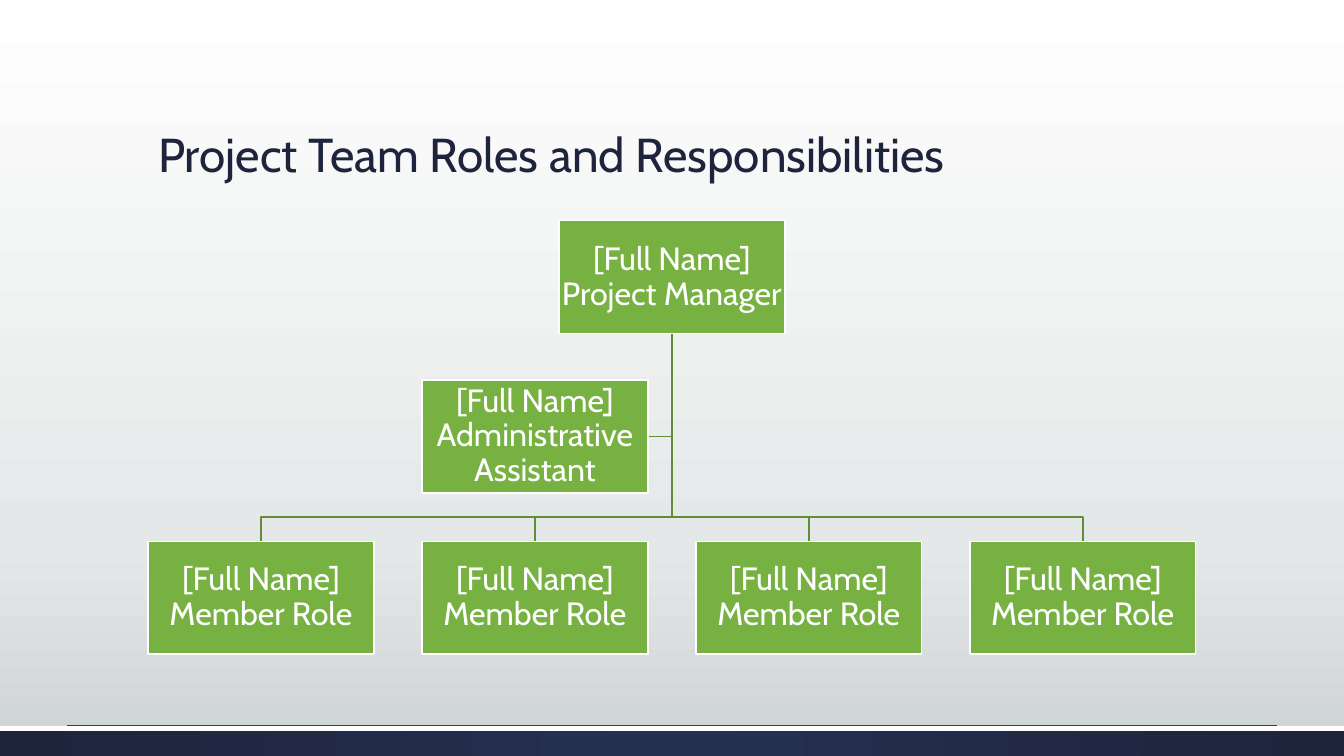
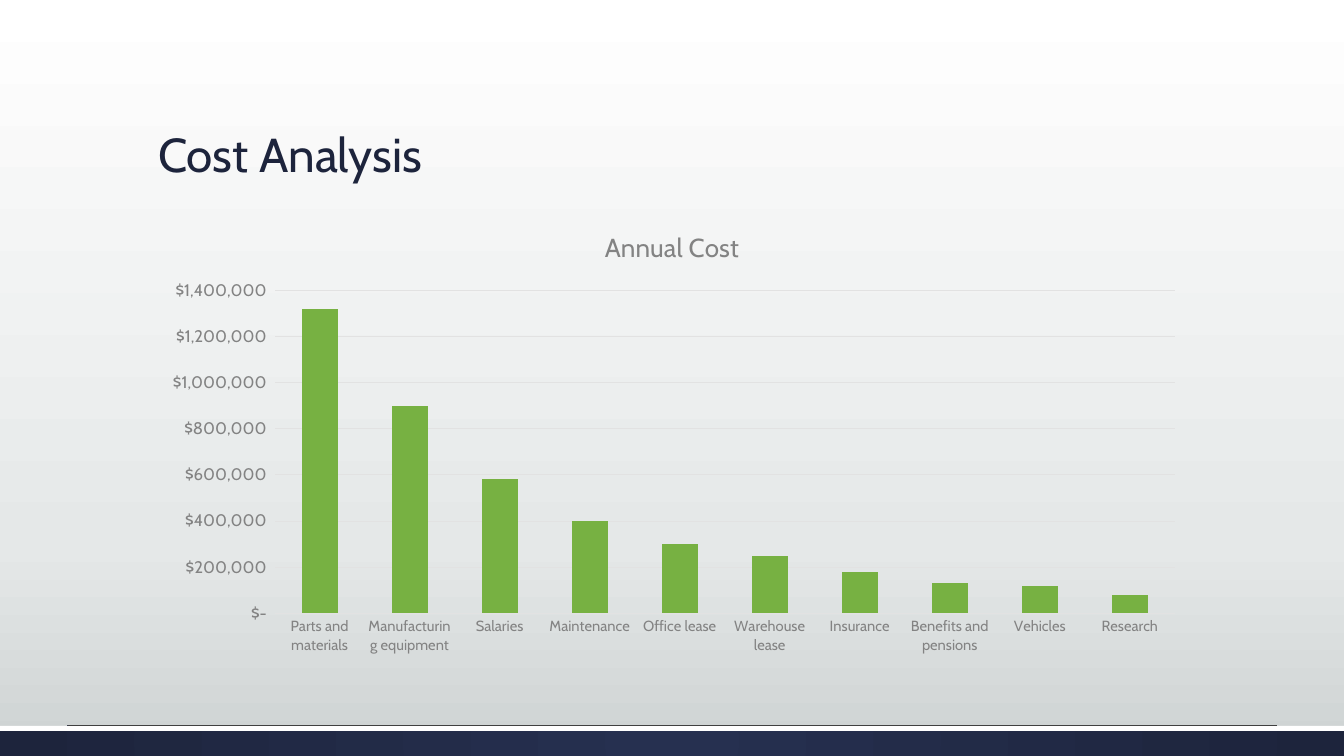
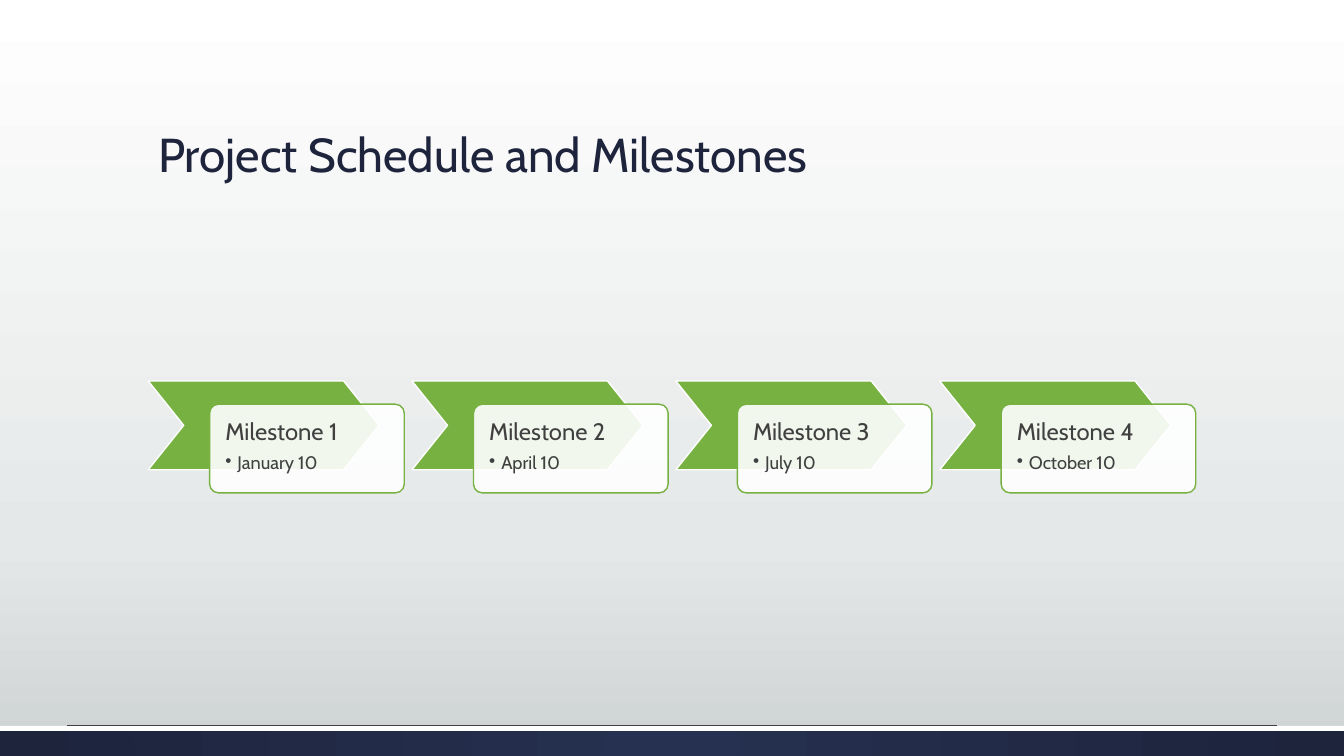
"""Build three project slides: team chart, cost analysis and milestones."""
from pptx import Presentation
from pptx.chart.data import CategoryChartData
from pptx.dml.color import RGBColor
from pptx.enum.chart import XL_CHART_TYPE, XL_TICK_MARK
from pptx.enum.shapes import MSO_CONNECTOR, MSO_SHAPE
from pptx.enum.text import MSO_ANCHOR, PP_ALIGN
from pptx.oxml import parse_xml
from pptx.oxml.ns import nsdecls, qn
from pptx.util import Inches, Pt
from lxml.etree import SubElement

FONT = "Cabin"
WHITE = RGBColor(0xFF, 0xFF, 0xFF)
NAVY = RGBColor(0x1D, 0x24, 0x3C)
GREEN = RGBColor(0x77, 0xB1, 0x42)
DARK_GREEN = RGBColor(0x5F, 0x8E, 0x35)
TEXT = RGBColor(0x40, 0x40, 0x40)
GRAY = RGBColor(0x83, 0x83, 0x83)
GRID = RGBColor(0xE2, 0xE2, 0xE2)

PAGE_STOPS = [(0, "FFFFFF"), (72, "E5E8E8"), (100, "CDD2D2")]
BAND_STOPS = [(0, "263050"), (100, "1D243C")]
DOWNWARD = '<a:lin ang="5400000" scaled="0"/>'
FROM_CENTER = '<a:path path="circle"><a:fillToRect l="50000" t="50000" r="50000" b="50000"/></a:path>'

SLIDE_WIDTH = 13.33
LEFT, CONTENT_WIDTH = 1.47, 10.39
CENTER = LEFT + CONTENT_WIDTH / 2

deck = Presentation()
deck.slide_width, deck.slide_height = Inches(SLIDE_WIDTH), Inches(7.5)


def add_box(page, kind, left, top, width, height, fill, line=None):
    box = page.shapes.add_shape(kind, Inches(left), Inches(top), Inches(width), Inches(height))
    box.shadow.inherit = False
    box.fill.solid()
    box.fill.fore_color.rgb = fill
    if line is None:
        box.line.fill.background()
    else:
        box.line.color.rgb = line
        box.line.width = Pt(1)
    return box


def start_page(title):
    page = deck.slides.add_slide(deck.slide_layouts[6])
    page.background.fill.solid()
    band = add_box(page, MSO_SHAPE.RECTANGLE, 0, 7.2, SLIDE_WIDTH, 0.3, NAVY)
    background = page.element.find(".//" + qn("p:bgPr"))
    for owner, stops, direction in [
        (background, PAGE_STOPS, DOWNWARD),
        (band.element.spPr, BAND_STOPS, FROM_CENTER),
    ]:
        stop_list = "".join(
            f'<a:gs pos="{position * 1000}"><a:srgbClr val="{color}"/></a:gs>' for position, color in stops
        )
        gradient = parse_xml(
            f'<a:gradFill {nsdecls("a")} rotWithShape="1"><a:gsLst>{stop_list}</a:gsLst>{direction}</a:gradFill>'
        )
        owner.replace(owner.find(qn("a:solidFill")), gradient)
    add_box(page, MSO_SHAPE.RECTANGLE, 0, 7.2, SLIDE_WIDTH, 0.05, WHITE)
    rule = page.shapes.add_connector(
        MSO_CONNECTOR.STRAIGHT, Inches(0.67), Inches(7.2), Inches(12.67), Inches(7.2)
    )
    rule.line.color.rgb = TEXT
    rule.line.width = Pt(0.5)
    SubElement(rule.element.spPr, qn("a:effectLst"))

    heading = page.shapes.add_textbox(Inches(LEFT), Inches(0.51), Inches(CONTENT_WIDTH), Inches(1.35))
    frame = heading.text_frame
    frame.word_wrap = True
    frame.vertical_anchor = MSO_ANCHOR.BOTTOM
    para = frame.paragraphs[0]
    para.text = title
    para.line_spacing = 0.9
    para.font.name, para.font.size, para.font.color.rgb = FONT, Pt(34), NAVY
    return page


page = start_page("Project Team Roles and Responsibilities")
BOX_WIDTH, BOX_HEIGHT = 2.24, 1.12
MANAGER_TOP, ASSISTANT_TOP, MEMBER_TOP = 2.19, 3.77, 5.37
MANAGER_BOTTOM = MANAGER_TOP + BOX_HEIGHT
BRANCH_TOP = 5.13
member_step = (CONTENT_WIDTH - BOX_WIDTH) / 3
member_lefts = [LEFT + index * member_step for index in range(4)]
assistant_left = member_lefts[1]
assistant_middle = ASSISTANT_TOP + BOX_HEIGHT / 2

branches = [[(CENTER, assistant_middle), (assistant_left + BOX_WIDTH, assistant_middle)]]
for left in member_lefts:
    middle = left + BOX_WIDTH / 2
    branches.append([(CENTER, BRANCH_TOP), (middle, BRANCH_TOP), (middle, MEMBER_TOP)])
for points in branches:
    builder = page.shapes.build_freeform(Inches(CENTER), Inches(MANAGER_BOTTOM))
    builder.add_line_segments([(Inches(x), Inches(y)) for x, y in points], close=False)
    branch = builder.convert_to_shape()
    branch.shadow.inherit = False
    branch.fill.background()
    branch.line.color.rgb = DARK_GREEN
    branch.line.width = Pt(1)

people = [(CENTER - BOX_WIDTH / 2, MANAGER_TOP, "Project Manager")]
people += [(left, MEMBER_TOP, "Member Role") for left in member_lefts]
people.append((assistant_left, ASSISTANT_TOP, "Administrative Assistant"))
for left, top, role in people:
    box = add_box(page, MSO_SHAPE.RECTANGLE, left, top, BOX_WIDTH, BOX_HEIGHT, GREEN, WHITE)
    frame = box.text_frame
    frame.word_wrap = True
    frame.vertical_anchor = MSO_ANCHOR.MIDDLE
    frame.margin_left = frame.margin_right = frame.margin_top = frame.margin_bottom = Inches(0.02)
    para = frame.paragraphs[0]
    para.text = f"[Full Name] {role}"
    para.alignment = PP_ALIGN.CENTER
    para.line_spacing = 0.9
    para.font.name, para.font.size, para.font.color.rgb = FONT, Pt(23), WHITE

page = start_page("Cost Analysis")
costs = {
    "Parts and materials": 1320000,
    "Manufacturing equipment": 900000,
    "Salaries": 580000,
    "Maintenance": 400000,
    "Office lease": 300000,
    "Warehouse lease": 250000,
    "Insurance": 180000,
    "Benefits and pensions": 130000,
    "Vehicles": 120000,
    "Research": 80000,
}
data = CategoryChartData()
data.categories = list(costs)
data.add_series("Annual Cost", list(costs.values()))
chart = page.shapes.add_chart(
    XL_CHART_TYPE.COLUMN_CLUSTERED, Inches(LEFT), Inches(2.08), Inches(CONTENT_WIDTH), Inches(4.51), data
).chart
chart.font.name, chart.font.size, chart.font.color.rgb = FONT, Pt(10), TEXT
chart.has_legend = False
chart.has_title = True
chart.chart_title.include_in_layout = False
para = chart.chart_title.text_frame.paragraphs[0]
para.text = "Annual Cost"
para.font.name, para.font.size, para.font.color.rgb = FONT, Pt(18.6), GRAY
para.font.bold = False

plot = chart.plots[0]
plot.gap_width = 150
plot.vary_by_categories = False
bars = plot.series[0].format.fill
bars.solid()
bars.fore_color.rgb = GREEN

for axis, size in [(chart.category_axis, 10.5), (chart.value_axis, 12)]:
    axis.major_tick_mark = axis.minor_tick_mark = XL_TICK_MARK.NONE
    font = axis.tick_labels.font
    font.name, font.size, font.color.rgb = FONT, Pt(size), GRAY
label_body = chart.category_axis._element.find(".//" + qn("a:bodyPr"))
label_body.set("rot", "0")
label_body.set("vert", "horz")
value_axis = chart.value_axis
value_axis.minimum_scale = 0
value_axis.format.line.fill.background()
value_axis.tick_labels.number_format = r'_("$"* #,##0_);_("$"* \(#,##0\);_("$"* "-"_);_(@_)'
value_axis.tick_labels.number_format_is_linked = False
for line in (chart.category_axis.format.line, value_axis.major_gridlines.format.line):
    line.color.rgb = GRID
    line.width = Pt(0.75)

page = start_page("Project Schedule and Milestones")
CARD_OFFSET, CARD_WIDTH, STEP_HEIGHT = 0.61, 1.93, 0.88
milestone_step = (CONTENT_WIDTH - CARD_OFFSET - CARD_WIDTH) / 3
for index, date in enumerate(["January 10", "April 10", "July 10", "October 10"]):
    left = LEFT + index * milestone_step
    chevron = add_box(page, MSO_SHAPE.CHEVRON, left, 3.78, 2.29, STEP_HEIGHT, GREEN, WHITE)
    chevron.adjustments[0] = 0.4
    card = add_box(
        page, MSO_SHAPE.ROUNDED_RECTANGLE, left + CARD_OFFSET, 4.01, CARD_WIDTH, STEP_HEIGHT, WHITE, GREEN
    )
    card.adjustments[0] = 0.1
    card_color = card.element.spPr.find(qn("a:solidFill")).find(qn("a:srgbClr"))
    SubElement(card_color, qn("a:alpha"), val="90000")
    frame = card.text_frame
    frame.word_wrap = True
    frame.vertical_anchor = MSO_ANCHOR.TOP
    frame.margin_left = frame.margin_right = frame.margin_top = frame.margin_bottom = Inches(0.13)
    name_para, date_para = frame.paragraphs[0], frame.add_paragraph()
    for para, text, size, gap in [(name_para, f"Milestone {index + 1}", 17, 6), (date_para, date, 13, 2)]:
        para.text = text
        para.alignment = PP_ALIGN.LEFT
        para.line_spacing = 0.9
        para.space_after = Pt(gap)
        para.font.name, para.font.size, para.font.color.rgb = FONT, Pt(size), TEXT
    date_para.level = 1
    properties = date_para._p.get_or_add_pPr()
    properties.set("marL", str(Inches(0.12)))
    properties.set("indent", str(Inches(-0.12)))
    bullet = parse_xml(f'<a:buChar {nsdecls("a")} char="•"/>')
    properties.find(qn("a:defRPr")).addprevious(bullet)

deck.save("out.pptx")
